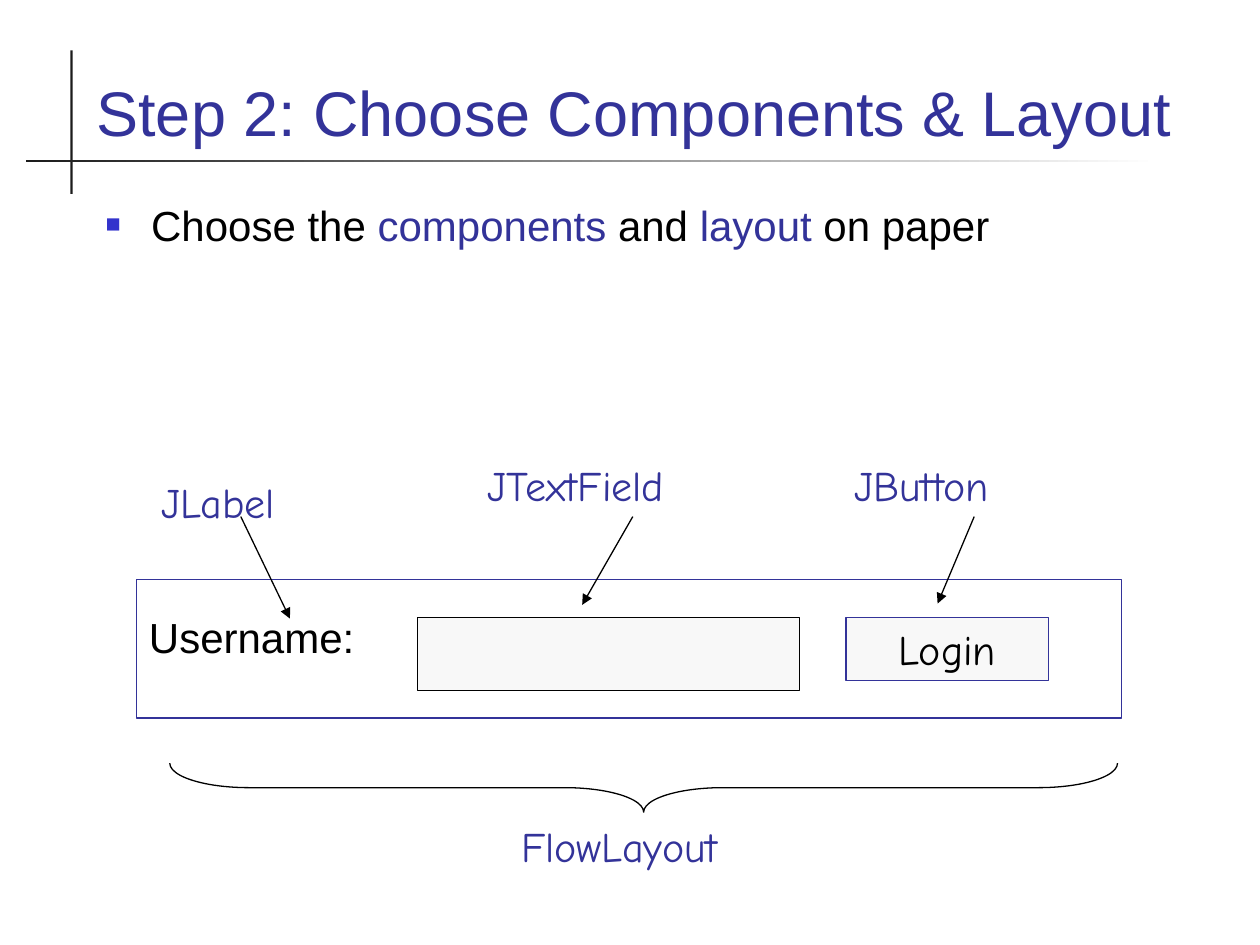
import pptx
import pptx.util
import pptx.dml.color
import pptx.enum.shapes
import pptx.enum.text
import pptx.oxml
import pptx.oxml.ns

Pt = pptx.util.Pt
Shape = pptx.enum.shapes.MSO_SHAPE
Align = pptx.enum.text.PP_ALIGN
Anchor = pptx.enum.text.MSO_ANCHOR
NAVY, BLACK, PALE, CHARCOAL = "333399", "000000", "F8F8F8", "1C1C1C"
HAND = "Comic Neue"


def color(value):
    return pptx.dml.color.RGBColor.from_string(value)


def apply(target, values):
    for name, value in values.items():
        setattr(target, name, value)


def add_element(parent, tag, **attributes):
    element = pptx.oxml.parse_xml(f'<a:{tag} {pptx.oxml.ns.nsdecls("a")}/>')
    for name, value in attributes.items():
        element.set(name, value)
    parent.append(element)
    return element


def write(shape, runs, size=24, font="Arial", align=Align.LEFT, anchor=Anchor.TOP, top=3.6):
    frame = shape.text_frame
    apply(frame, {
        "word_wrap": True, "vertical_anchor": anchor,
        "margin_left": Pt(7.2), "margin_right": Pt(7.2),
        "margin_top": Pt(top), "margin_bottom": Pt(3.6),
    })
    paragraph = frame.paragraphs[0]
    paragraph.alignment = align
    for text, shade in runs:
        run = paragraph.add_run()
        run.text = text
        apply(run.font, {"size": Pt(size), "name": font})
        run.font.color.rgb = color(shade)
    return paragraph


def add_text(slide, left, top, width, height, runs, **style):
    box = slide.shapes.add_textbox(Pt(left), Pt(top), Pt(width), Pt(height))
    return write(box, runs, **style)


def add_shape(slide, kind, left, top, width, height, fill=None, line=None):
    shape = slide.shapes.add_shape(kind, Pt(left), Pt(top), Pt(width), Pt(height))
    shape.shadow.inherit = False
    if fill:
        shape.fill.solid()
        shape.fill.fore_color.rgb = color(fill)
    else:
        shape.fill.background()
    if line:
        shape.line.width = Pt(0.75)
        shape.line.color.rgb = color(line)
    else:
        shape.line.fill.background()
    return shape


def add_arrow(slide, start, end):
    arrow = slide.shapes.add_connector(
        pptx.enum.shapes.MSO_CONNECTOR.STRAIGHT, *map(Pt, start + end))
    arrow.line.width = Pt(0.75)
    arrow.line.color.rgb = color(BLACK)
    add_element(arrow.line._get_or_add_ln(), "tailEnd", type="triangle")
    add_element(arrow._element.spPr, "effectLst")


def add_heading(slide, left, top, width, height):
    add_shape(slide, Shape.RECTANGLE, left + 25.2, top + 8.6, 1.4, 82, CHARCOAL)
    rule = add_shape(slide, Shape.RECTANGLE, left, top + 71.2, 646.6, 1.4)
    rule.fill.gradient()
    rule.fill.gradient_angle = 0
    for stop, shade in zip(rule.fill.gradient_stops, (CHARCOAL, "FFFFFF")):
        stop.color.rgb = color(shade)
    add_text(slide, left + 33.1, top, width - 33.1, height,
             [("Step 2: Choose Components & Layout", NAVY)], size=36, anchor=Anchor.BOTTOM)


def add_bullet(slide, left, top, width, height):
    paragraph = add_text(slide, left, top, width, height, [
        ("Choose the ", BLACK), ("components", NAVY), (" and ", BLACK),
        ("layout", NAVY), (" on paper", BLACK)])
    properties = paragraph._p.get_or_add_pPr()
    indent = Pt(26)
    properties.set("marL", str(indent))
    properties.set("indent", str(-indent))
    add_element(add_element(properties, "buClr"), "srgbClr", val="3333CC")
    add_element(properties, "buSzPct", val="60000")
    add_element(properties, "buFont", typeface="Arial")
    add_element(properties, "buChar", char="■")


def add_form(slide, left, top, width, height):
    panel = add_shape(slide, Shape.RECTANGLE, left, top, width, height, line=NAVY)
    write(panel, [("Username:", BLACK)], top=18)
    add_shape(slide, Shape.RECTANGLE, left + 160.8, top + 21.6, 218.2, 41.8, PALE, BLACK)
    button = add_shape(slide, Shape.RECTANGLE, left + 405.4, top + 21.6, 115.9, 36, PALE, NAVY)
    write(button, [("Login", BLACK)], font=HAND, align=Align.CENTER)


def add_callouts(slide, left, top, width, height):
    callouts = [
        ("JLabel", 0, 9.4, 111, 52.6, (80.7, 94.3)),
        ("JTextField", 186.4, 0, 177, 276.6, (247.7, 86.4)),
        ("JButton", 396, 0, width - 396, 471.7, (450.8, 85.7)),
    ]
    for name, label_x, label_y, label_width, start_x, (end_x, end_y) in callouts:
        add_text(slide, left + label_x, top + label_y, label_width, 36,
                 [(name, NAVY)], font=HAND)
        add_arrow(slide, (left + start_x, top + height), (left + end_x, top + end_y))


def add_layout_brace(slide, left, top, width, height):
    brace = add_shape(slide, Shape.RIGHT_BRACE, left + (width - height) / 2,
                      top + (height - width) / 2, height, width, line=BLACK)
    brace.rotation = 90
    brace.adjustments[0] = 1.61
    brace.adjustments[1] = 0.5
    add_text(slide, left + 193.9, top + 29, 202.3, 36, [("FlowLayout", NAVY)], font=HAND)


def main():
    presentation = pptx.Presentation()
    apply(presentation, {"slide_width": Pt(720), "slide_height": Pt(540)})
    slide = presentation.slides.add_slide(presentation.slide_layouts[6])
    add_heading(slide, 15, 20.2, 685.5, 68.4)
    add_bullet(slide, 53.3, 110.2, 623.5, 72.7)
    add_form(slide, 78, 331.2, 563, 79.2)
    add_callouts(slide, 85, 259.2, 573, 36)
    add_layout_brace(slide, 97, 436.1, 541.6, 28)
    presentation.save("out.pptx")


if __name__ == "__main__":
    main()
